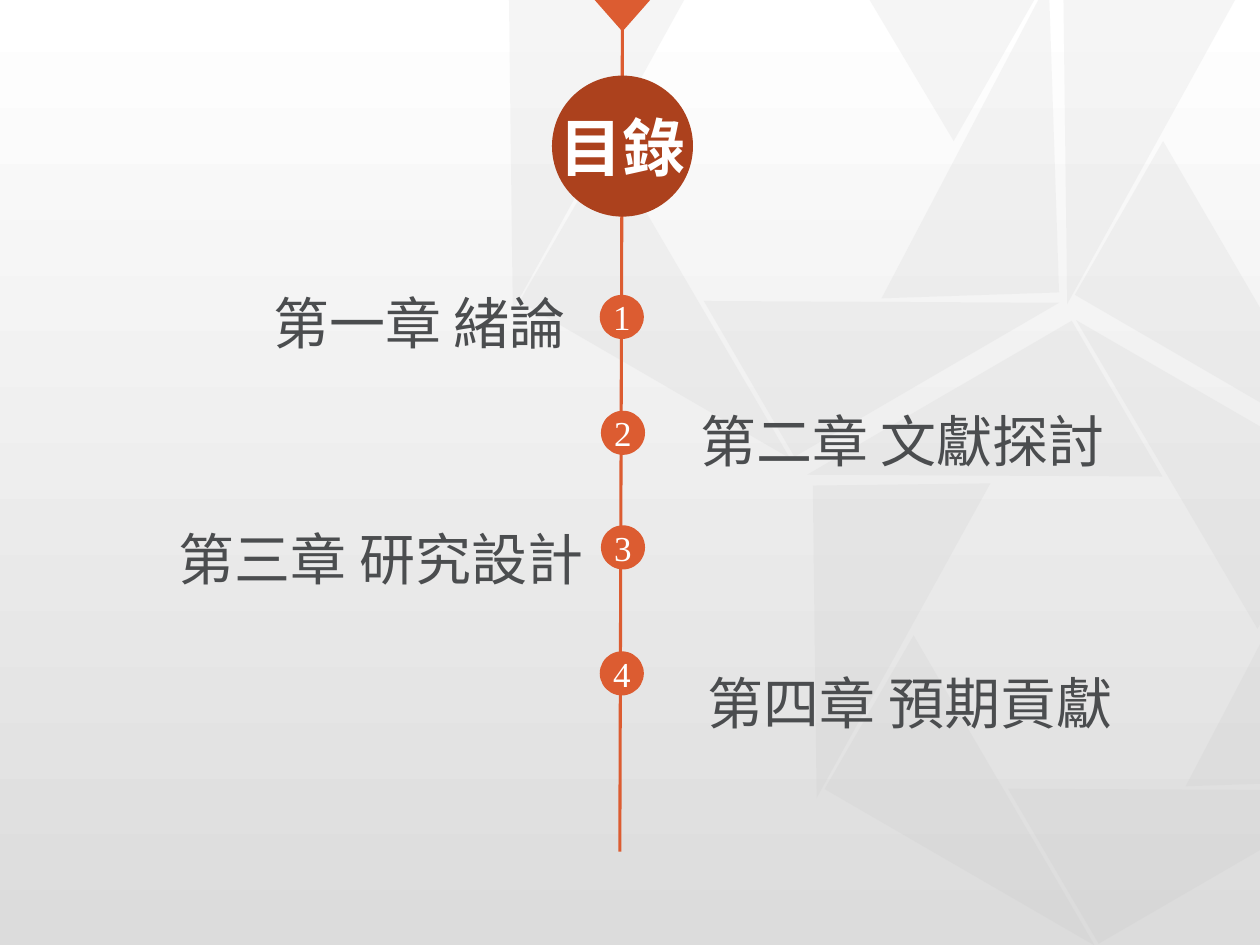
from lxml.etree import SubElement
from pptx import Presentation
from pptx.dml.color import RGBColor
from pptx.enum.shapes import MSO_CONNECTOR as Connector, MSO_SHAPE as Shape
from pptx.enum.text import MSO_ANCHOR as Anchor, MSO_AUTO_SIZE as AutoSize, PP_ALIGN as Align
from pptx.oxml.ns import qn
from pptx.util import Pt

ORANGE, RUST, WHITE = "DC5C31", "AC411D", "FFFFFF"
INK, FACET = "4B4D4F", "BFBFBF"
DOT_SIZE = 25.2
LONG_FACET, SHORT_FACET = (178.6, 101.5), (175, 103)

FACET_TRIANGLES = [
    (475.2, 220.3, SHORT_FACET, 149.8),
    (427, 315.4, LONG_FACET, 89.3),
    (484.6, 401, LONG_FACET, 30.1),
    (570.2, 33.1, LONG_FACET, 89.3),
    (253.4, 36.7, LONG_FACET, 89.3),
    (310.3, 122.4, LONG_FACET, 30.1),
    (416.2, 121, SHORT_FACET, 329.8),
    (462.2, 28.8, LONG_FACET, 268.1),
]
FACET_POLYGONS = [
    [(576, 450.7), (722, 451.4), (722, 484.6), (627.8, 539.3)],
    [(722, 364.3), (722, 447.8), (677.5, 449.3)],
    [(614.9, 182.9), (722, 244.8), (722, 353.5), (718.6, 359.3)],
    [(664.6, 80.6), (722, 179.3), (722, 231.1), (614.2, 168.5)],
    [(496.1, -1.4), (591.8, -1.4), (545, 80.6)],
]
CHAPTERS = [
    ("第一章 緒論", (117.4, 163.4, 213.1, 33.8), Align.RIGHT, (342.7, 168.5)),
    ("第二章 文獻探討", (393.1, 221, 251.3, 53.3), Align.LEFT, (343.4, 234.7)),
    ("第三章 研究設計", (86.4, 298.1, 254.2, 33.8), Align.RIGHT, (343.4, 300.2)),
    ("第四章 預期貢獻", (397.4, 370.8, 313.9, 53.3), Align.LEFT, (342.7, 372.2)),
]


def color(value):
    return RGBColor.from_string(value)


def paint(shape, fill, opacity=None):
    shape.shadow.inherit = False
    shape.line.fill.background()
    shape.fill.solid()
    shape.fill.fore_color.rgb = color(fill)
    if opacity:
        tint = shape.element.spPr.find(".//" + qn("a:srgbClr"))
        SubElement(tint, qn("a:alpha")).set("val", str(opacity * 1000))


def add_shape(page, kind, left, top, width, height, fill, opacity=None):
    shape = page.shapes.add_shape(kind, Pt(left), Pt(top), Pt(width), Pt(height))
    paint(shape, fill, opacity)
    return shape


def write(shape, text, font, size, ink, align, spacing=None, bold=False):
    frame = shape.text_frame
    frame.text = text
    frame.word_wrap = True
    frame.vertical_anchor = Anchor.MIDDLE
    para = frame.paragraphs[0]
    para.alignment = align
    para.line_spacing = spacing
    span = para.runs[0]
    span.font.size = Pt(size)
    span.font.bold = bold
    span.font.color.rgb = color(ink)
    span.font.name = font
    SubElement(span._r.get_or_add_rPr(), qn("a:ea")).set("typeface", font)


def add_background(page):
    backdrop = add_shape(page, Shape.RECTANGLE, 0, -2.2, 725, 543, WHITE)
    backdrop.fill.gradient()
    backdrop.fill.gradient_angle = 90
    for stop, position, shade in zip(backdrop.fill.gradient_stops, (0, 1), ("DCDCDC", WHITE)):
        stop.position = position
        stop.color.rgb = color(shade)
    for left, top, size, angle in FACET_TRIANGLES:
        facet = add_shape(page, Shape.RIGHT_TRIANGLE, left, top, *size, FACET, 14)
        facet.rotation = angle
    for points in FACET_POLYGONS:
        start, *others = [(Pt(x), Pt(y)) for x, y in points]
        outline = page.shapes.build_freeform(*start)
        outline.add_line_segments(others)
        paint(outline.convert_to_shape(), FACET, 14)


def add_timeline(page):
    axis = page.shapes.add_connector(Connector.STRAIGHT, Pt(355.7), Pt(0), Pt(354.2), Pt(486.7))
    axis.line.color.rgb = color(ORANGE)
    axis.line.width = Pt(1.75)
    SubElement(axis.element.spPr, qn("a:effectLst"))
    pointer = add_shape(page, Shape.ISOSCELES_TRIANGLE, 339.8, 0, 31.7, 18, ORANGE)
    pointer.rotation = 180
    add_shape(page, Shape.OVAL, 315.4, 43.2, 80.6, 80.6, RUST)


def add_title(page):
    title = page.shapes.title
    title.left, title.top, title.width, title.height = map(Pt, (311.8, 43.2, 87.8, 80.6))
    write(title, "目錄", "Noto Sans CJK SC", 36, WHITE, Align.CENTER, bold=True)
    title.text_frame.auto_size = AutoSize.NONE
    title.element.getparent().append(title.element)


def add_chapter(page, number, text, bounds, align, dot_corner):
    dot = add_shape(page, Shape.OVAL, *dot_corner, DOT_SIZE, DOT_SIZE, ORANGE)
    write(dot, str(number), "Times New Roman", 20, WHITE, Align.CENTER)
    frame = dot.text_frame
    frame.margin_left = frame.margin_top = frame.margin_right = frame.margin_bottom = Pt(0)
    box = page.shapes.add_textbox(*map(Pt, bounds))
    write(box, text, "Noto Sans CJK TC", 32, INK, align, spacing=1.2)


def main():
    deck = Presentation()
    deck.slide_width, deck.slide_height = Pt(720), Pt(540)
    page = deck.slides.add_slide(deck.slide_layouts[5])
    add_background(page)
    add_timeline(page)
    add_title(page)
    for number, chapter in enumerate(CHAPTERS, start=1):
        add_chapter(page, number, *chapter)
    deck.save("out.pptx")


if __name__ == "__main__":
    main()
